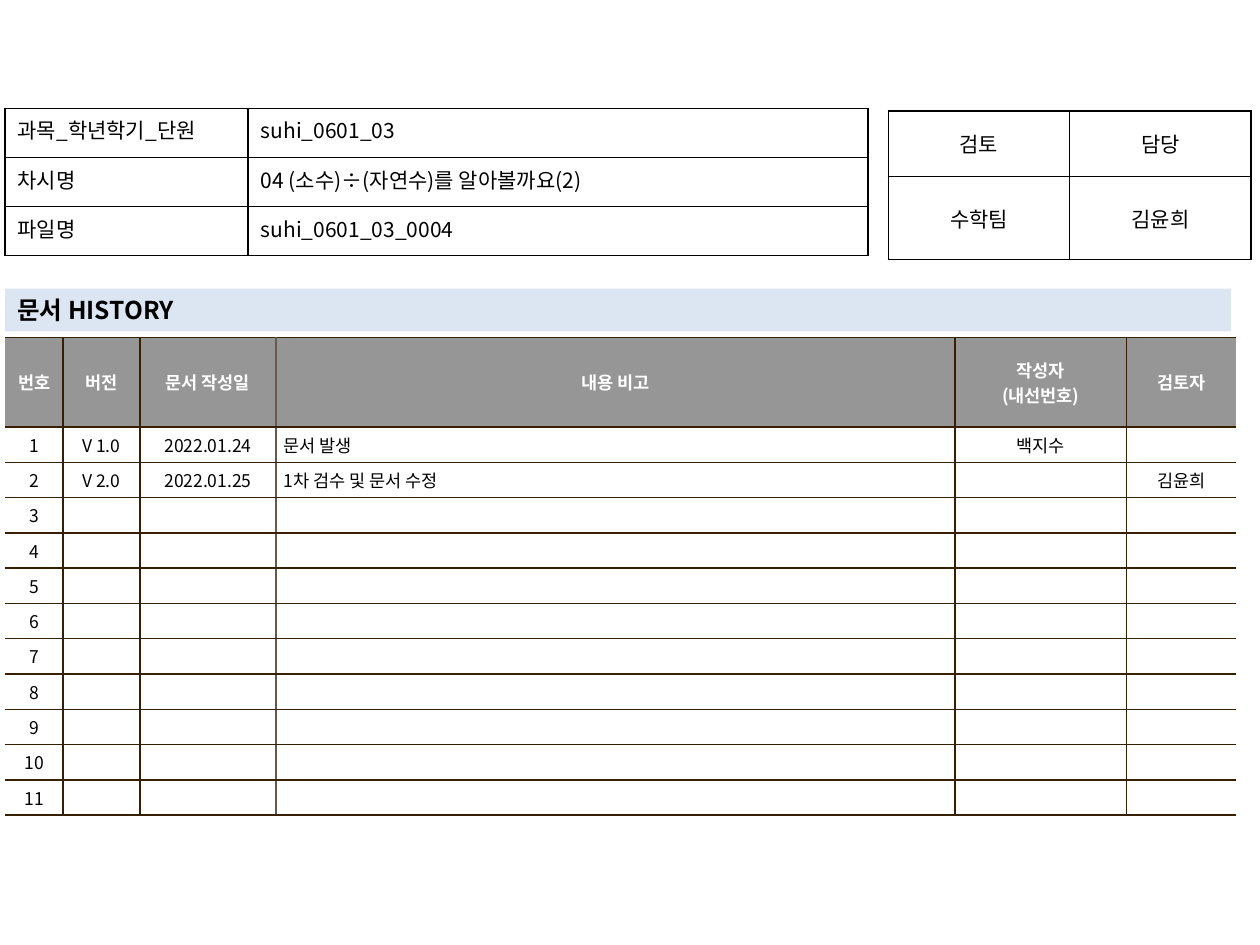
from dataclasses import dataclass
from typing import Optional

import pptx
import pptx.dml.color
import pptx.enum.shapes
import pptx.enum.text
import pptx.oxml.ns
import pptx.presentation
import pptx.slide
import pptx.util
from lxml import etree

PX = 9144  # EMU in one px, at 100 px to the inch
FONT = "Noto Sans CJK KR"
COLORS = {
    "black": "000000",
    "white": "FFFFFF",
    "header": "969696",
    "band": "DCE6F2",
    "brown": "362000",
    "taupe": "645B4C",
}
ALIGN = pptx.enum.text.PP_ALIGN
ANCHOR = pptx.enum.text.MSO_ANCHOR


@dataclass(frozen=True)
class CellStyle:
    size: int = 12
    color: str = "black"
    bold: bool = False
    align: ALIGN = ALIGN.CENTER
    anchor: ANCHOR = ANCHOR.MIDDLE
    fill: Optional[str] = None
    inset_x: int = 10
    inset_y: int = 5


@dataclass(frozen=True)
class Grid:
    left: int
    top: int
    columns: list[int]
    rows: list[int]
    texts: list[list[str]]
    styles: list[list[CellStyle]]
    verticals: list[Optional[str]]  # line colours from left edge to right edge
    horizontal: str


def px(length: int) -> pptx.util.Emu:
    return pptx.util.Emu(length * PX)


def rgb(name: str) -> pptx.dml.color.RGBColor:
    return pptx.dml.color.RGBColor.from_string(COLORS[name])


def write(frame, text: str, style: CellStyle) -> None:
    """Set the text; an empty paragraph still carries its text size."""
    frame.text = text
    for paragraph in frame.paragraphs:
        paragraph.alignment = style.align
        if not paragraph.runs:
            paragraph._p.get_or_add_endParaRPr().set("sz", str(style.size * 100))
        for run in paragraph.runs:
            run.font.size = pptx.util.Pt(style.size)
            run.font.bold = style.bold
            run.font.color.rgb = rgb(style.color)
            run.font.name = FONT
            east_asian = etree.SubElement(
                run._r.get_or_add_rPr(), pptx.oxml.ns.qn("a:ea"))
            east_asian.set("typeface", FONT)


def add_border(cell, side: str, color: Optional[str]) -> None:
    qn = pptx.oxml.ns.qn
    line = etree.SubElement(cell._tc.get_or_add_tcPr(), qn(f"a:ln{side}"))
    line.set("w", str(pptx.util.Pt(1)))
    if color is None:
        etree.SubElement(line, qn("a:noFill"))
    else:
        solid = etree.SubElement(line, qn("a:solidFill"))
        etree.SubElement(solid, qn("a:srgbClr")).set("val", COLORS[color])


def draw_grid(slide: pptx.slide.Slide, grid: Grid) -> None:
    table = slide.shapes.add_table(
        len(grid.rows), len(grid.columns), px(grid.left), px(grid.top),
        px(sum(grid.columns)), px(sum(grid.rows))).table
    table.first_row = table.horz_banding = False
    for column, width in zip(table.columns, grid.columns):
        column.width = px(width)
    for row, height in zip(table.rows, grid.rows):
        row.height = px(height)
    for r, (texts, styles) in enumerate(zip(grid.texts, grid.styles)):
        for c, (text, style) in enumerate(zip(texts, styles)):
            cell = table.cell(r, c)
            cell.vertical_anchor = style.anchor
            cell.margin_left = cell.margin_right = px(style.inset_x)
            cell.margin_top = cell.margin_bottom = px(style.inset_y)
            # Borders come before the fill in the cell properties
            add_border(cell, "L", grid.verticals[c])
            add_border(cell, "R", grid.verticals[c + 1])
            add_border(cell, "T", grid.horizontal)
            add_border(cell, "B", grid.horizontal)
            if style.fill:
                cell.fill.solid()
                cell.fill.fore_color.rgb = rgb(style.fill)
            else:
                cell.fill.background()
            write(cell.text_frame, text, style)


def draw_heading(slide: pptx.slide.Slide, text: str) -> None:
    heading = slide.shapes.add_shape(
        pptx.enum.shapes.MSO_SHAPE.RECTANGLE, px(4), px(229), px(973), px(34))
    heading.shadow.inherit = False
    heading.fill.solid()
    heading.fill.fore_color.rgb = rgb("band")
    heading.line.fill.background()
    heading.text_frame.word_wrap = True
    heading.text_frame.vertical_anchor = ANCHOR.MIDDLE
    write(heading.text_frame, text, CellStyle(size=14, bold=True, align=ALIGN.LEFT))


def history_grid() -> Grid:
    titles = ["번호", "버전", "문서 작성일", "내용 비고", "작성자\n(내선번호)", "검토자"]
    entries = [
        ["V 1.0", "2022.01.24", "문서 발생", "백지수", ""],
        ["V 2.0", "2022.01.25", "1차 검수 및 문서 수정", "", "김윤희"],
    ]
    count = 11
    entries += [[""] * 5 for _ in range(count - len(entries))]
    title = CellStyle(10, "white", True, fill="header", inset_x=6, inset_y=4)
    body = CellStyle(10, fill="white", inset_x=6, inset_y=4)
    note = CellStyle(10, align=ALIGN.LEFT, fill="white", inset_x=6, inset_y=4)
    return Grid(
        left=4, top=268,
        columns=[46, 61, 108, 539, 136, 87],
        rows=[71] + [25] * count,
        texts=[titles] + [[str(n), *entry] for n, entry in enumerate(entries, 1)],
        styles=[[title] * 6] + [[body] * 3 + [note] + [body] * 2] * count,
        verticals=[None, "brown", "brown", "taupe", "brown", "brown", None],
        horizontal="brown")


def approval_grid() -> Grid:
    return Grid(
        left=705, top=88, columns=[144, 144], rows=[52, 66],
        texts=[["검토", "담당"], ["수학팀", "김윤희"]],
        styles=[[CellStyle()] * 2] * 2,
        verticals=["black"] * 3, horizontal="black")


def document_grid() -> Grid:
    label = CellStyle(align=ALIGN.JUSTIFY, anchor=ANCHOR.TOP)
    value = CellStyle(align=ALIGN.LEFT, anchor=ANCHOR.TOP)
    return Grid(
        left=4, top=86, columns=[193, 492], rows=[39] * 3,
        texts=[
            ["과목_학년학기_단원", "suhi_0601_03"],
            ["차시명", "04 (소수)÷(자연수)를 알아볼까요(2)"],
            ["파일명", "suhi_0601_03_0004"],
        ],
        styles=[[label, value]] * 3,
        verticals=["black"] * 3, horizontal="black")


def main() -> None:
    deck = pptx.Presentation()
    deck.slide_width, deck.slide_height = px(1000), px(750)
    slide = deck.slides.add_slide(deck.slide_layouts[6])

    # Revision history, approvals, section heading, document details
    draw_grid(slide, history_grid())
    draw_grid(slide, approval_grid())
    draw_heading(slide, "문서 HISTORY")
    draw_grid(slide, document_grid())

    deck.save("out.pptx")


if __name__ == "__main__":
    main()
